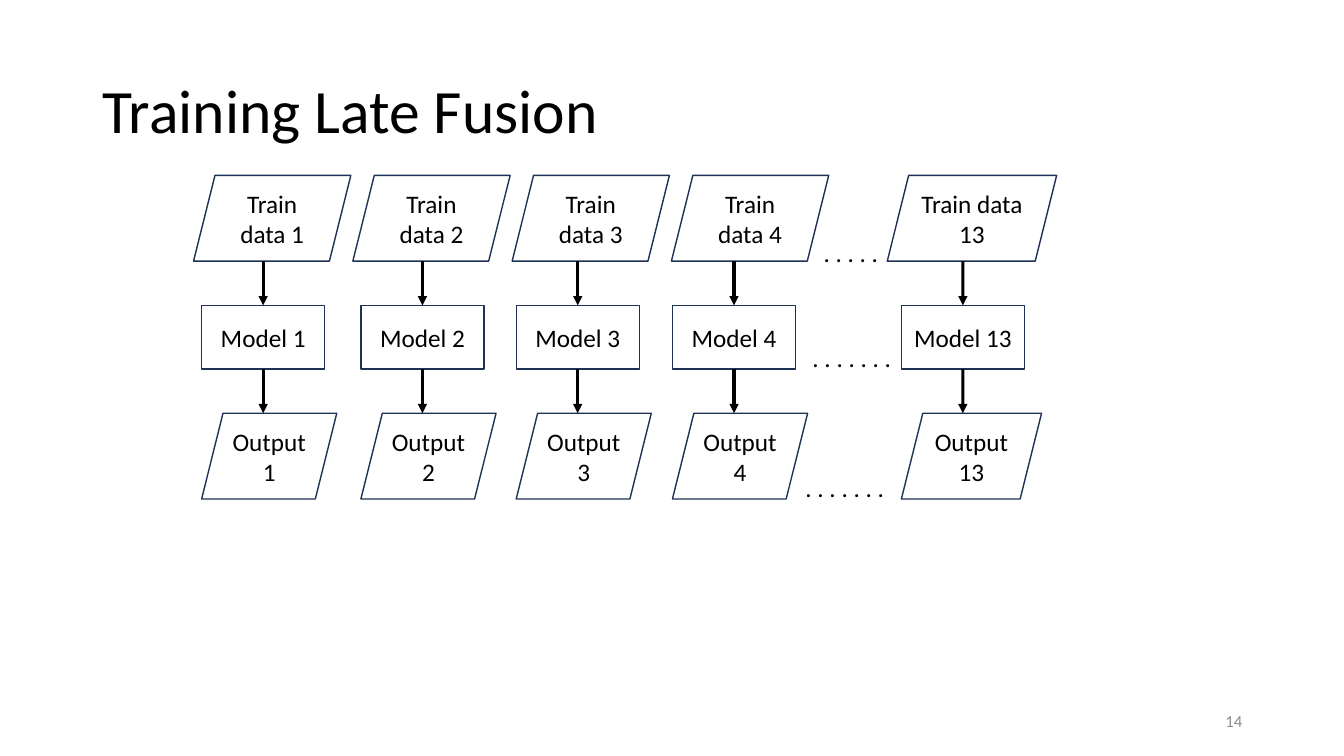
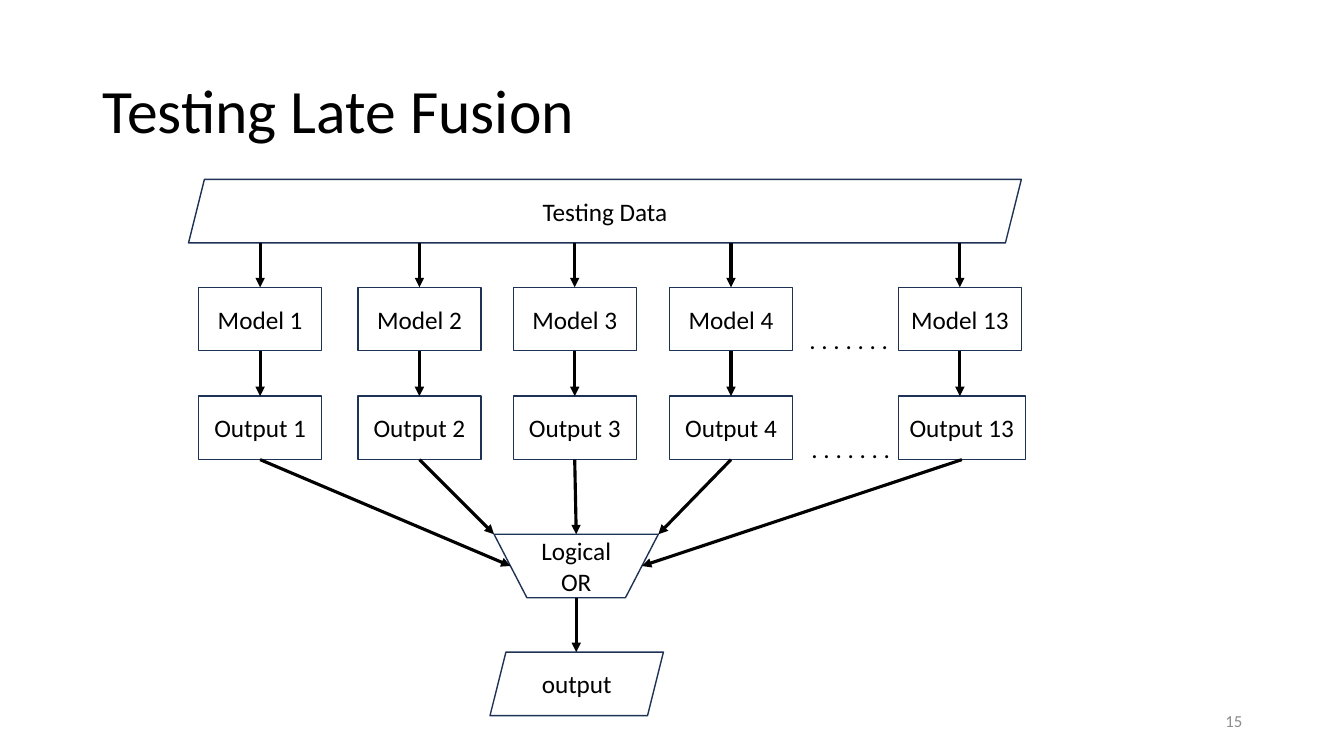
"""Build two slides that show how late fusion is trained and tested."""
from lxml import etree
from pptx import Presentation
from pptx.dml import color
from pptx.enum import shapes, text
from pptx.oxml import ns
from pptx.util import Inches, Pt

FONT = "Calibri"
BLACK, NAVY, GREY = "000000", "1E3256", "8C8C8C"
RECTANGLE = shapes.MSO_SHAPE.RECTANGLE
PARALLELOGRAM = shapes.MSO_SHAPE.PARALLELOGRAM
MANUAL_OPERATION = shapes.MSO_SHAPE.FLOWCHART_MANUAL_OPERATION
LEFT, CENTER, RIGHT = text.PP_ALIGN.LEFT, text.PP_ALIGN.CENTER, text.PP_ALIGN.RIGHT
TOP, MIDDLE = text.MSO_ANCHOR.TOP, text.MSO_ANCHOR.MIDDLE

NUMBERS = [1, 2, 3, 4, 13]
MODEL_LEFTS = [2, 3.58, 5.12, 6.67, 8.94]
BOX_WIDTH, BOX_HEIGHT, DATA_HEIGHT = 1.22, 0.63, 0.85
ARROW_LENGTH = 0.44
TESTING_SHIFT = -0.03

TRAIN_TOP, TRAIN_PITCH = 1.74, 1.58
TRAIN_LEFTS = [1.92 + TRAIN_PITCH * column for column in range(4)] + [8.8]
TRAIN_WIDTHS = [1.56] * 4 + [1.68]
TRAIN_OUTPUT_WIDTHS = [1.34] * 4 + [1.39]
TEST_OUTPUT_WIDTHS = [BOX_WIDTH] * 4 + [1.26]

SHORT_DOTS, LONG_DOTS = ". . . . .", ". . . . . . ."
TRAINING_DOTS = [(8.07, 2.31, SHORT_DOTS), (7.96, 3.35, LONG_DOTS), (7.89, 4.64, LONG_DOTS)]
TESTING_DOTS = [(7.93, 3.17, LONG_DOTS), (7.95, 4.25, LONG_DOTS)]


def rgb(value):
    return color.RGBColor.from_string(value)


def write(shape, words, size=18, ink=BLACK, align=LEFT, anchor=TOP):
    frame = shape.text_frame
    frame.word_wrap = True
    frame.vertical_anchor = anchor
    paragraph = frame.paragraphs[0]
    paragraph.alignment = align
    run = paragraph.add_run()
    run.text = words
    run.font.name = FONT
    run.font.size = Pt(size)
    run.font.color.rgb = rgb(ink)
    return paragraph


def add_label(slide, place, words, **style):
    label = slide.shapes.add_textbox(*map(Inches, place))
    return write(label, words, **style)


def add_box(slide, kind, place, words):
    box = slide.shapes.add_shape(kind, *map(Inches, place))
    box.shadow.inherit = False
    box.fill.background()
    box.line.color.rgb = rgb(NAVY)
    box.line.width = Pt(1)
    write(box, words, align=CENTER, anchor=MIDDLE)
    return box


def add_row(slide, kind, name, lefts, top, widths, height):
    return [
        add_box(slide, kind, (left, top, width, height), f"{name} {number}")
        for left, width, number in zip(lefts, widths, NUMBERS)
    ]


def add_arrow(slide, start, end, source=None, target=None):
    arrow = slide.shapes.add_connector(
        shapes.MSO_CONNECTOR.STRAIGHT, *map(Inches, (*start, *end)))
    if source is not None:
        arrow.begin_connect(source, 2)
    if target is not None:
        arrow.end_connect(target, 0)
    arrow.line.color.rgb = rgb(BLACK)
    arrow.line.width = Pt(2.25)
    etree.SubElement(arrow.line._get_or_add_ln(), ns.qn("a:tailEnd"), type="triangle")
    etree.SubElement(arrow._element.spPr, ns.qn("a:effectLst"))


def add_slide(presentation, title, number, dots):
    slide = presentation.slides.add_slide(presentation.slide_layouts[6])
    heading = add_label(slide, (0.92, 0.4, 11.5, 1.45), title, size=44, anchor=MIDDLE)
    heading.line_spacing = 0.9
    for left, top, words in dots:
        add_label(slide, (left, top, 1.14, 0.4), words)
    add_label(slide, (9.42, 6.95, 3, 0.4), number, size=12, ink=GREY,
              align=RIGHT, anchor=MIDDLE)
    return slide


def build_training(presentation):
    slide = add_slide(presentation, "Training Late Fusion", "14", TRAINING_DOTS)
    train_bottom = TRAIN_TOP + DATA_HEIGHT
    model_top = train_bottom + ARROW_LENGTH
    model_bottom = model_top + BOX_HEIGHT
    output_top = model_bottom + ARROW_LENGTH
    add_row(slide, PARALLELOGRAM, "Train data", TRAIN_LEFTS, TRAIN_TOP,
            TRAIN_WIDTHS, DATA_HEIGHT)
    models = add_row(slide, RECTANGLE, "Model", MODEL_LEFTS, model_top,
                     [BOX_WIDTH] * 5, BOX_HEIGHT)
    add_row(slide, PARALLELOGRAM, "Output", MODEL_LEFTS, output_top,
            TRAIN_OUTPUT_WIDTHS, DATA_HEIGHT)
    for left, model in zip(MODEL_LEFTS, models):
        center = left + BOX_WIDTH / 2
        add_arrow(slide, (center, train_bottom), (center, model_top), target=model)
        add_arrow(slide, (center, model_bottom), (center, output_top), source=model)


def build_testing(presentation):
    slide = add_slide(presentation, "Testing Late Fusion", "15", TESTING_DOTS)
    lefts = [left + TESTING_SHIFT for left in MODEL_LEFTS]
    data_top, gate_left, gate_top, gate_width = 1.78, 4.9, 5.3, 1.63
    data_bottom = data_top + BOX_HEIGHT
    model_top = data_bottom + ARROW_LENGTH
    model_bottom = model_top + BOX_HEIGHT
    output_top = model_bottom + ARROW_LENGTH + 0.01
    output_bottom = output_top + BOX_HEIGHT
    result_top = 6.47

    add_box(slide, PARALLELOGRAM, (1.87, data_top, 8.26, BOX_HEIGHT), "Testing Data")
    models = add_row(slide, RECTANGLE, "Model", lefts, model_top,
                     [BOX_WIDTH] * 5, BOX_HEIGHT)
    outputs = add_row(slide, RECTANGLE, "Output", lefts, output_top,
                      TEST_OUTPUT_WIDTHS, BOX_HEIGHT)
    gate = add_box(slide, MANUAL_OPERATION,
                   (gate_left, gate_top, gate_width, BOX_HEIGHT), "Logical OR")
    add_box(slide, PARALLELOGRAM, (4.86, result_top, 1.72, BOX_HEIGHT), "output")

    gate_right = gate_left + gate_width
    gate_center = gate_left + gate_width / 2
    gate_middle = gate_top + BOX_HEIGHT / 2
    slant = gate_width / 10
    gate_entries = [
        (gate_left + slant, gate_middle),
        (gate_left, gate_top),
        (gate_center, gate_top),
        (gate_right, gate_top),
        (gate_right - slant, gate_middle),
    ]
    for left, model, output, entry in zip(lefts, models, outputs, gate_entries):
        center = left + BOX_WIDTH / 2
        add_arrow(slide, (center, data_bottom), (center, model_top), target=model)
        add_arrow(slide, (center, model_bottom), (center, output_top), source=model)
        add_arrow(slide, (center, output_bottom), entry, source=output)
    add_arrow(slide, (gate_center, gate_top + BOX_HEIGHT),
              (gate_center, result_top), source=gate)


def main():
    presentation = Presentation()
    presentation.slide_width = Inches(13.33)
    presentation.slide_height = Inches(7.5)
    build_training(presentation)
    build_testing(presentation)
    presentation.save("out.pptx")


if __name__ == "__main__":
    main()
